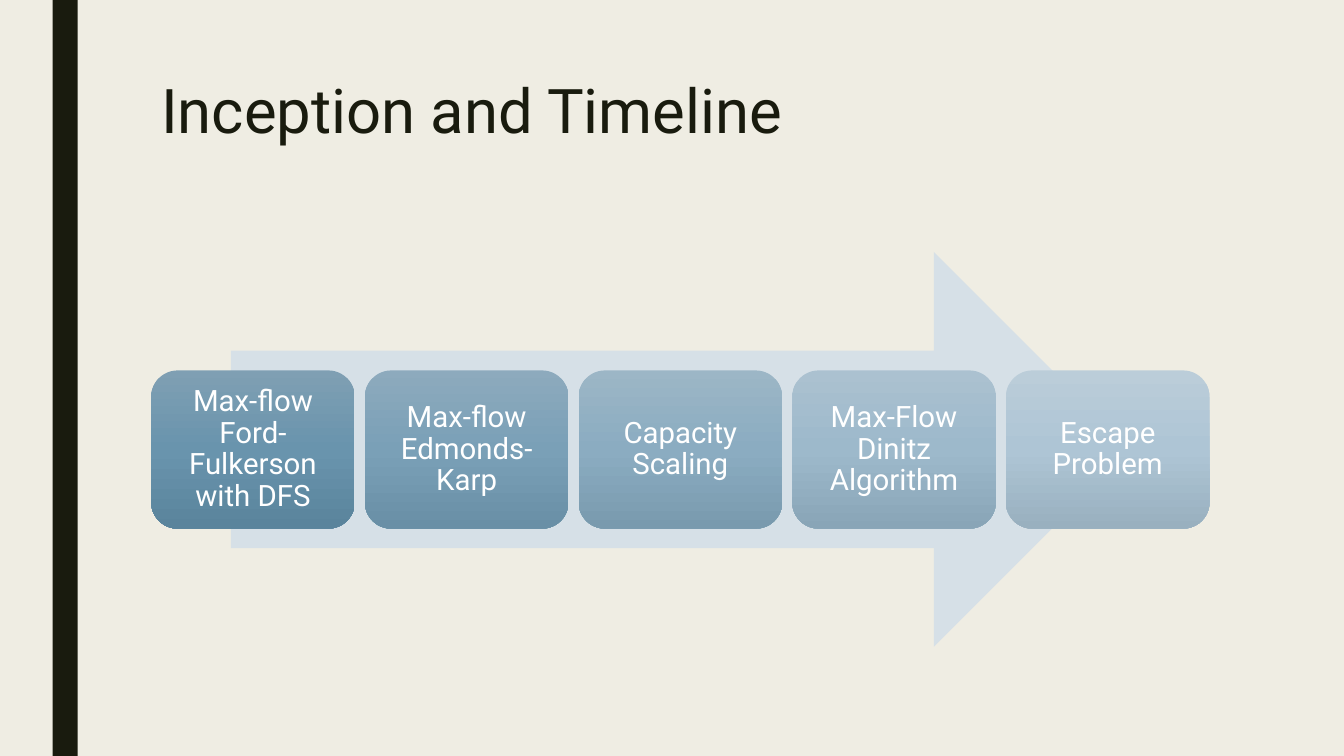
"""Build the slide "Inception and Timeline": five algorithm steps on an arrow."""
from copy import deepcopy
from typing import NamedTuple

from pptx import Presentation
from pptx.dml.color import RGBColor
from pptx.enum.shapes import MSO_SHAPE as Preset
from pptx.enum.text import MSO_ANCHOR as Anchor, MSO_AUTO_SIZE as AutoSize, PP_ALIGN as Align
from pptx.oxml.ns import qn
from pptx.shapes.autoshape import Shape
from pptx.slide import Slide
from pptx.text.text import TextFrame
from pptx.util import Pt

FONT = "Roboto"
INK = "191B0E"
STEP_LEFT, STEP_TOP, STEP_PITCH = 108, 264.6, 152.64
STEP_WIDTH, STEP_HEIGHT, STEP_INSET = 145.4, 113, 6.3


class Step(NamedTuple):
    label: str
    shades: tuple[str, str, str]


STEPS = [
    Step("Max-flow Ford-Fulkerson with DFS", ("7F9FB3", "6994AD", "5A849C")),
    Step("Max-flow Edmonds-Karp", ("8DAABD", "7AA0B7", "698FA6")),
    Step("Capacity Scaling", ("9CB6C6", "8BACC1", "799AAE")),
    Step("Max-Flow Dinitz Algorithm", ("ABC1D0", "9DB9CB", "89A5B7")),
    Step("Escape Problem", ("BBCDD9", "AEC5D5", "99B0BF")),
]


def color(value: str) -> RGBColor:
    return RGBColor.from_string(value)


def add_block(slide: Slide, preset: Preset, left: float, top: float,
              width: float, height: float) -> Shape:
    block = slide.shapes.add_shape(preset, Pt(left), Pt(top), Pt(width), Pt(height))
    block.shadow.inherit = False
    block.line.fill.background()
    return block


def add_solid(slide: Slide, preset: Preset, left: float, top: float,
              width: float, height: float, fill: str) -> None:
    block = add_block(slide, preset, left, top, width, height)
    block.fill.solid()
    block.fill.fore_color.rgb = color(fill)


def write(frame: TextFrame, words: str, size: float, ink: str,
          align: Align, spacing: float) -> None:
    frame.text = words
    frame.word_wrap = True
    frame.auto_size = AutoSize.NONE
    line = frame.paragraphs[0]
    line.alignment = align
    line.line_spacing = spacing
    line.font.name = FONT
    line.font.size = Pt(size)
    line.font.color.rgb = color(ink)


def shade(block: Shape, shades: tuple[str, str, str]) -> None:
    block.fill.gradient()
    block.fill.gradient_angle = 270
    stops = block._element.spPr.find(qn("a:gradFill")).find(qn("a:gsLst"))
    stops.insert(1, deepcopy(stops[0]))
    for stop, value, position in zip(block.fill.gradient_stops, shades, (0, 0.5, 1)):
        stop.color.rgb = color(value)
        stop.position = position


def add_step(slide: Slide, index: int, step: Step) -> None:
    block = add_block(slide, Preset.ROUNDED_RECTANGLE, STEP_LEFT + index * STEP_PITCH,
                      STEP_TOP, STEP_WIDTH, STEP_HEIGHT)
    shade(block, step.shades)
    frame = block.text_frame
    write(frame, step.label, 21, "FFFFFF", Align.CENTER, 0.9)
    frame.vertical_anchor = Anchor.MIDDLE
    frame.margin_left = frame.margin_right = Pt(STEP_INSET)
    frame.margin_top = frame.margin_bottom = Pt(STEP_INSET)


def main() -> None:
    deck = Presentation()
    deck.slide_width, deck.slide_height = Pt(960), Pt(540)
    slide = deck.slides.add_slide(deck.slide_layouts[5])
    slide.background.fill.solid()
    slide.background.fill.fore_color.rgb = color("EFEDE3")

    title = slide.shapes.title
    title.left, title.top, title.width, title.height = Pt(108), Pt(54), Pt(756), Pt(116.6)
    write(title.text_frame, "Inception and Timeline", 44, INK, Align.LEFT, 0.89)
    title.text_frame.vertical_anchor = Anchor.TOP

    add_solid(slide, Preset.RECTANGLE, 37.5, 0, 18, 540, INK)
    add_solid(slide, Preset.RIGHT_ARROW, 165, 180, 643, 282, "D6E0E7")
    for index, step in enumerate(STEPS):
        add_step(slide, index, step)
    deck.save("out.pptx")


if __name__ == "__main__":
    main()
